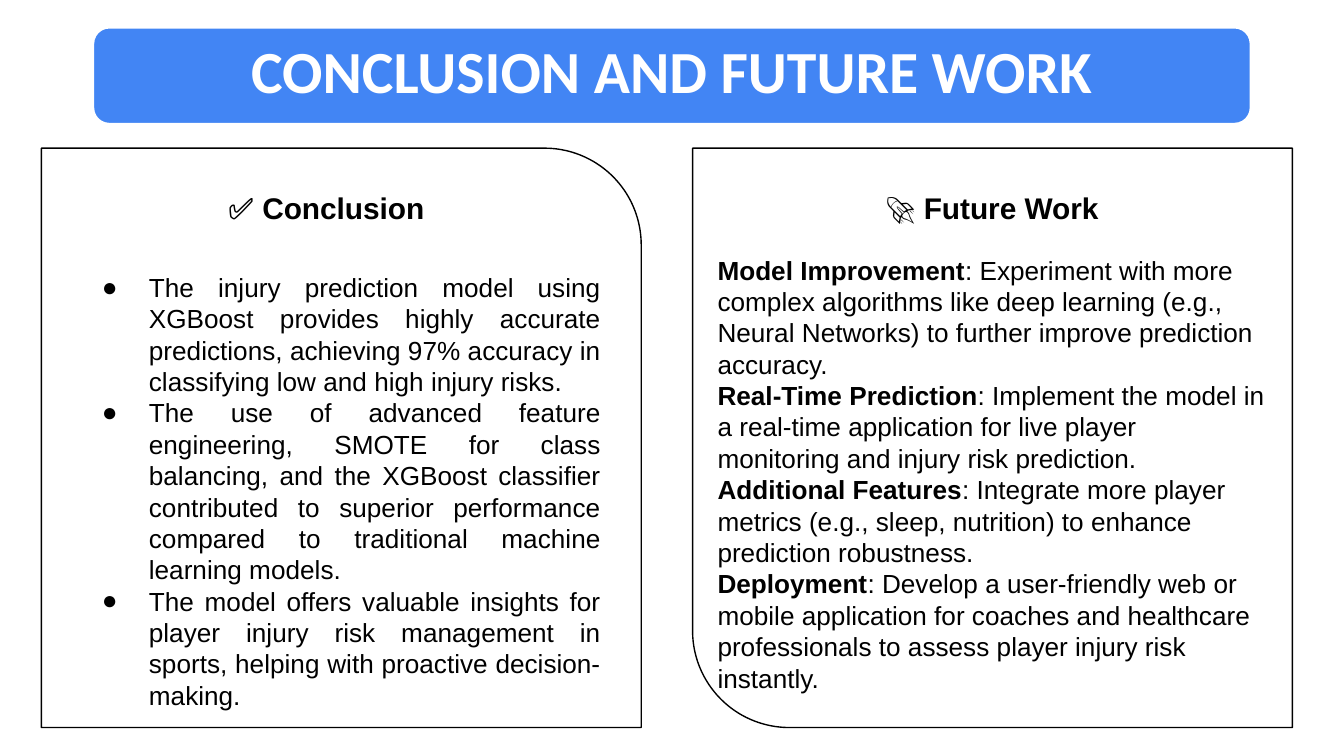
from lxml.etree import SubElement
from pptx import Presentation
from pptx.dml.color import RGBColor
from pptx.enum.shapes import MSO_SHAPE
from pptx.enum.text import MSO_ANCHOR, PP_ALIGN
from pptx.oxml.ns import qn
from pptx.util import Pt

COLOURS = {"banner": "4285F4", "light": "FFFFFF", "dark": "000000"}

CONCLUSIONS = [
    "The injury prediction model using XGBoost provides highly accurate predictions, "
    "achieving 97% accuracy in classifying low and high injury risks.",
    "The use of advanced feature engineering, SMOTE for class balancing, and the XGBoost "
    "classifier contributed to superior performance compared to traditional machine "
    "learning models.",
    "The model offers valuable insights for player injury risk management in sports, "
    "helping with proactive decision-making.",
]
FUTURE_WORK = [
    ("Model Improvement", ": Experiment with more complex algorithms like deep learning "
     "(e.g., Neural Networks) to further improve prediction accuracy."),
    ("Real-Time Prediction", ": Implement the model in a real-time application for live "
     "player monitoring and injury risk prediction."),
    ("Additional Features", ": Integrate more player metrics (e.g., sleep, nutrition) to "
     "enhance prediction robustness."),
    ("Deployment", ": Develop a user-friendly web or mobile application for coaches and "
     "healthcare professionals to assess player injury risk instantly."),
]


class SlideBuilder:
    """Holds the text style and the page; every area is (left, top, width, height) in points."""

    body_font, title_font = "Arial", "Calibri"
    title_size, heading_size, body_size = 32, 16, 14

    def __init__(self, page):
        self.page = page

    def colour(self, name):
        return RGBColor.from_string(COLOURS[name])

    def style(self, span, size, bold=False, colour="dark", font=body_font):
        span.font.name = font
        span.font.size = Pt(size)
        span.font.bold = bold
        span.font.color.rgb = self.colour(colour)

    def shape(self, kind, area, line, weight, fill=None):
        shape = self.page.shapes.add_shape(kind, *map(Pt, area))
        shape.shadow.inherit = False
        shape.adjustments[0] = 0.167
        shape.line.color.rgb = self.colour(line)
        shape.line.width = Pt(weight)
        if fill:
            shape.fill.solid()
            shape.fill.fore_color.rgb = self.colour(fill)
        else:
            shape.fill.background()
        return shape

    def banner(self, text, area):
        shape = self.shape(MSO_SHAPE.ROUNDED_RECTANGLE, area, "light", 1, "banner")
        frame = shape.text_frame
        frame.text = text
        frame.word_wrap = True
        frame.vertical_anchor = MSO_ANCHOR.MIDDLE
        frame.margin_left = frame.margin_right = Pt(5)
        frame.margin_top = frame.margin_bottom = Pt(3)
        para = frame.paragraphs[0]
        para.alignment = PP_ALIGN.CENTER
        para.line_spacing = 0.85
        self.style(para.runs[0], self.title_size, True, "light", self.title_font)

    def panel(self, area, opposite=False):
        """Frame with its top right corner rounded, or the bottom left one if opposite."""
        left, top, width, height = area
        if opposite:
            # A quarter turn swaps the sides around the same centre.
            shift = (width - height) / 2
            area = (left + shift, top - shift, height, width)
        shape = self.shape(MSO_SHAPE.ROUND_1_RECTANGLE, area, "dark", 0.75)
        if opposite:
            shape.rotation = 270
            shape._element.spPr.find(qn("a:xfrm")).set("flipH", "1")

    def text(self, area, paragraphs, size, align=PP_ALIGN.LEFT, bulleted=False):
        """Each paragraph is a list of (text, bold) pairs."""
        frame = self.page.shapes.add_textbox(*map(Pt, area)).text_frame
        frame.word_wrap = True
        frame.margin_left = frame.margin_right = Pt(7.2)
        frame.margin_top = frame.margin_bottom = Pt(7.2)
        for index, spans in enumerate(paragraphs):
            para = frame.add_paragraph() if index else frame.paragraphs[0]
            para.alignment = align
            if bulleted:
                self.bullet(para)
            for words, bold in spans:
                span = para.add_run()
                span.text = words
                self.style(span, size, bold)

    def bullet(self, para):
        properties = para._p.get_or_add_pPr()
        properties.set("marL", str(Pt(36)))
        properties.set("indent", str(Pt(-25.2)))
        colour = SubElement(properties, qn("a:buClr"))
        SubElement(colour, qn("a:srgbClr"), val=COLOURS["dark"])
        SubElement(properties, qn("a:buFont"), typeface=self.body_font)
        SubElement(properties, qn("a:buChar"), char="●")

    def heading(self, symbol, words, area):
        self.text(area, [[(symbol + " ", False), (words, True)]],
                  self.heading_size, PP_ALIGN.CENTER)


def main():
    deck = Presentation()
    deck.slide_width, deck.slide_height = Pt(720), Pt(405)
    builder = SlideBuilder(deck.slides.add_slide(deck.slide_layouts[6]))

    builder.banner("CONCLUSION AND FUTURE WORK", (50, 14.8, 620, 51.5))
    builder.panel((22.2, 79.4, 321.3, 310.4))
    builder.panel((371, 79.4, 321.3, 310.4), opposite=True)

    builder.heading("✅", "Conclusion", (37.3, 94.3, 275, 34.6))
    builder.text((36.7, 138.2, 292.3, 192.2), [[(item, False)] for item in CONCLUSIONS],
                 builder.body_size, PP_ALIGN.JUSTIFY, bulleted=True)

    builder.heading("🚀", "Future Work", (411.8, 94.3, 239.8, 34.6))
    builder.text((377.3, 128.9, 308.2, 192.2),
                 [[(topic, True), (detail, False)] for topic, detail in FUTURE_WORK],
                 builder.body_size)

    deck.save("out.pptx")


if __name__ == "__main__":
    main()
